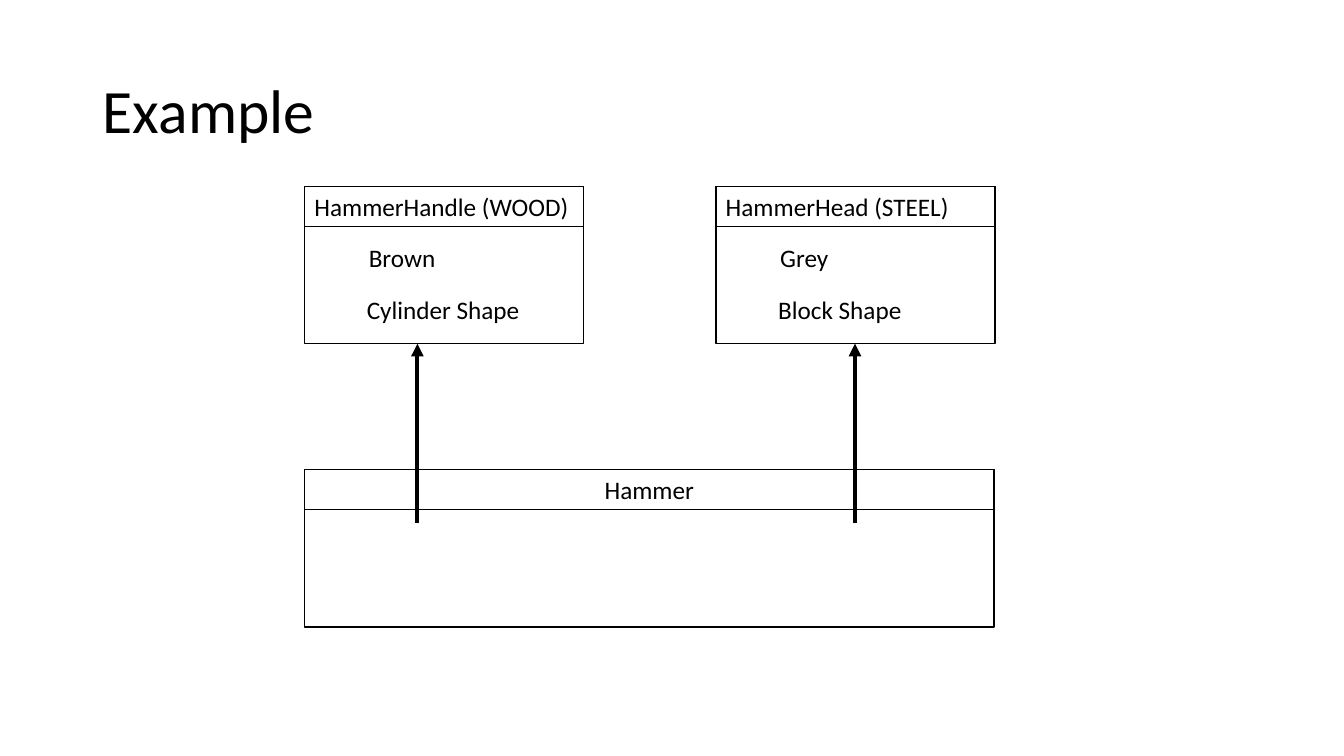
from lxml import etree
from pptx import Presentation
from pptx.dml.color import RGBColor
from pptx.enum.shapes import MSO_CONNECTOR, MSO_SHAPE
from pptx.enum.text import MSO_ANCHOR, MSO_AUTO_SIZE, PP_ALIGN
from pptx.oxml.ns import qn
from pptx.util import Inches, Pt

RECTANGLE = MSO_SHAPE.RECTANGLE
STRAIGHT = MSO_CONNECTOR.STRAIGHT
TOP = MSO_ANCHOR.TOP
MIDDLE = MSO_ANCHOR.MIDDLE
GROW = MSO_AUTO_SIZE.SHAPE_TO_FIT_TEXT
LEFT = PP_ALIGN.LEFT
CENTER = PP_ALIGN.CENTER

COLORS = {"ink": "000000", "paper": "FFFFFF"}
FONT = "Calibri"
TITLE_ONLY = 5

CLASS_HEIGHT = 1.56
HEADER_HEIGHT = 0.4
PART_TOP = 1.85
PART_WIDTH = 2.77
WHOLE_TOP = 4.66
PARTS = [
    (3.02, "HammerHandle (WOOD)", [("Brown", 0.87), ("Cylinder Shape", 1.73)]),
    (7.1, "HammerHead (STEEL)", [("Grey", 0.68), ("Block Shape", 1.44)]),
]
ATTRIBUTE_OFFSETS = [(0.54, 0.51), (0.52, 1.02)]
ARROW_LEFTS = [4.14, 8.48]


def color(name):
    return RGBColor.from_string(COLORS[name])


def write_text(text_frame, text, size=18, align=LEFT, anchor=TOP, wrap=True, line_spacing=None):
    text_frame.word_wrap = wrap
    text_frame.vertical_anchor = anchor
    paragraph = text_frame.paragraphs[0]
    paragraph.alignment = align
    paragraph.line_spacing = line_spacing
    run = paragraph.add_run()
    run.text = text
    run.font.name = FONT
    run.font.size = Pt(size)
    run.font.color.rgb = color("ink")


class ClassDiagram:
    def __init__(self, presentation):
        self.slide = presentation.slides.add_slide(presentation.slide_layouts[TITLE_ONLY])
        self.shapes = self.slide.shapes

    def title(self, text, left, top, width, height):
        shape = self.shapes.title
        shape.left, shape.top = Inches(left), Inches(top)
        shape.width, shape.height = Inches(width), Inches(height)
        write_text(shape.text_frame, text, size=44, anchor=MIDDLE, line_spacing=0.9)

    def rectangle(self, left, top, width, height, line_width, fill=None):
        shape = self.shapes.add_shape(
            RECTANGLE, Inches(left), Inches(top), Inches(width), Inches(height)
        )
        shape.shadow.inherit = False
        if fill:
            shape.fill.solid()
            shape.fill.fore_color.rgb = color(fill)
        else:
            shape.fill.background()
        shape.line.color.rgb = color("ink")
        shape.line.width = Pt(line_width)
        return shape

    def class_box(self, name, left, top, width, align=LEFT):
        self.rectangle(left, top, width, CLASS_HEIGHT, 1, fill="paper")
        header = self.rectangle(left, top, width, HEADER_HEIGHT, 0.75)
        write_text(header.text_frame, name, align=align)
        header.text_frame.auto_size = GROW

    def attribute(self, text, left, top, width):
        shape = self.shapes.add_textbox(
            Inches(left), Inches(top), Inches(width), Inches(HEADER_HEIGHT)
        )
        write_text(shape.text_frame, text, wrap=False)
        shape.text_frame.auto_size = GROW

    def arrow(self, left, start, end):
        connector = self.shapes.add_connector(
            STRAIGHT, Inches(left), Inches(start), Inches(left), Inches(end)
        )
        connector.line.color.rgb = color("ink")
        connector.line.width = Pt(3)
        properties = connector._element.spPr
        etree.SubElement(properties.find(qn("a:ln")), qn("a:tailEnd"), type="triangle")
        etree.SubElement(properties, qn("a:effectLst"))


def main():
    presentation = Presentation()
    presentation.slide_width = Inches(13.33)
    presentation.slide_height = Inches(7.5)
    diagram = ClassDiagram(presentation)

    diagram.title("Example", 0.92, 0.4, 11.5, 1.45)
    for left, name, attributes in PARTS:
        diagram.class_box(name, left, PART_TOP, PART_WIDTH)
        for (text, width), (across, down) in zip(attributes, ATTRIBUTE_OFFSETS):
            diagram.attribute(text, left + across, PART_TOP + down, width)

    diagram.class_box("Hammer", 3.02, WHOLE_TOP, 6.84, align=CENTER)
    for left in ARROW_LEFTS:
        diagram.arrow(left, 5.19, PART_TOP + CLASS_HEIGHT)

    presentation.save("out.pptx")


if __name__ == "__main__":
    main()
